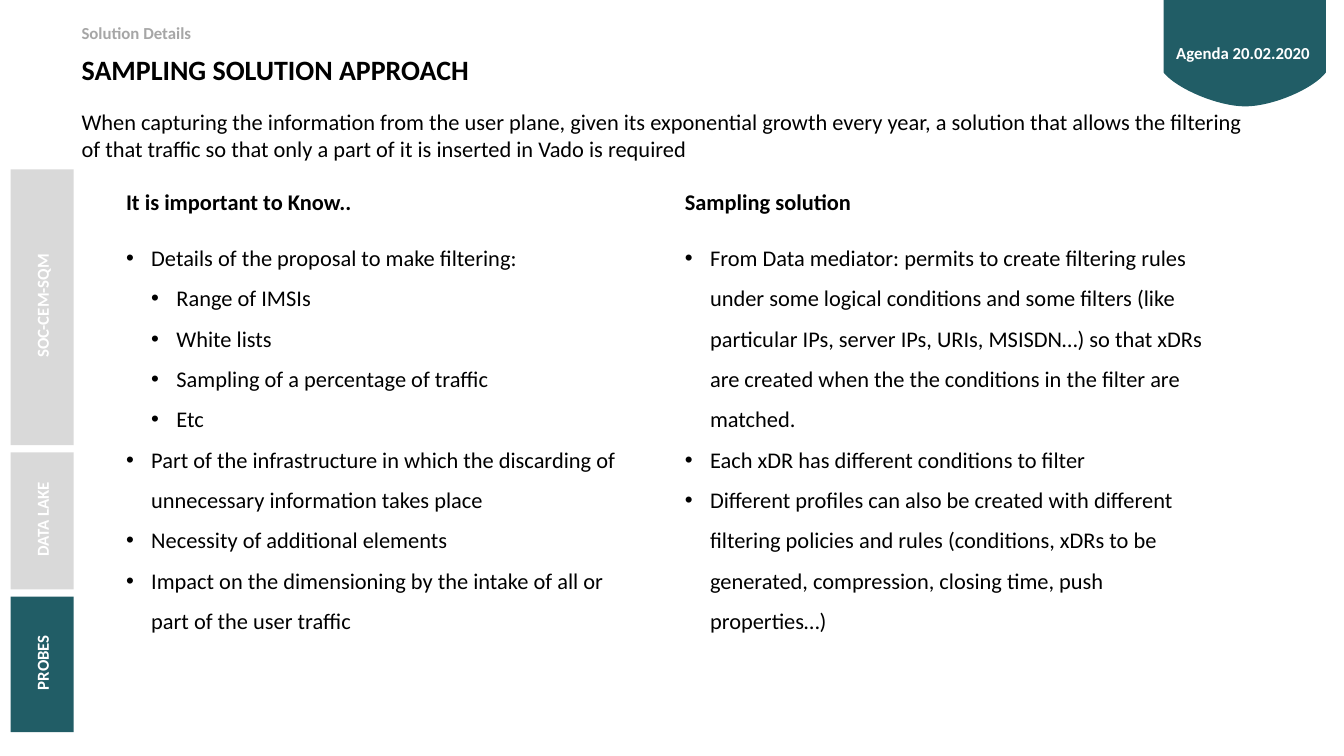
from dataclasses import dataclass
from typing import Any

import lxml.etree
import pptx
import pptx.dml.color
import pptx.enum.shapes
import pptx.enum.text
import pptx.oxml.ns
import pptx.util

WIDTH, HEIGHT = 26.67, 15
FONT = "Calibri"
TEAL, GREY, MID_GREY, WHITE, BLACK = "215D66", "D9D9D9", "A6A6A6", "FFFFFF", "000000"
LEFT = pptx.enum.text.PP_ALIGN.LEFT
CENTER = pptx.enum.text.PP_ALIGN.CENTER
TOP = pptx.enum.text.MSO_ANCHOR.TOP
MIDDLE = pptx.enum.text.MSO_ANCHOR.MIDDLE


@dataclass
class Box:
    """Place and size in percent of the slide's width and height."""
    x: float
    y: float
    w: float
    h: float


@dataclass
class Style:
    size: int = 32
    color: str = BLACK
    bold: bool = False
    align: Any = LEFT
    anchor: Any = TOP
    insets: tuple[float, float, float, float] = (0.1, 0.05, 0.1, 0.05)


@dataclass
class Tab:
    label: str
    height: float
    fill: str


@dataclass
class Column:
    heading: str
    items: list[tuple[int, str]]
    x: float
    width: float
    height: float
    heading_idx: int
    body_idx: int


TABS = [
    Tab("SOC-CEM-SQM", 36.47, GREY),
    Tab("DATA LAKE", 18.13, GREY),
    Tab("PROBES", 17.93, TEAL),
]
TAB_X, TAB_TOP, TAB_WIDTH, TAB_GAP = 0.79, 22.4, 4.69, 0.95

COLUMNS = [
    Column("It is important to Know..", [
        (0, "Details of the proposal to make filtering:"),
        (1, "Range of IMSIs"),
        (1, "White lists"),
        (1, "Sampling of a percentage of traffic"),
        (1, "Etc"),
        (0, "Part of the infrastructure in which the discarding of "
            "unnecessary information takes place"),
        (0, "Necessity of additional elements"),
        (0, "Impact on the dimensioning by the intake of all or part of the user traffic"),
    ], 9, 38.1, 54.53, 1, 2),
    Column("Sampling solution", [
        (0, "From Data mediator: permits to create filtering rules under some logical "
            "conditions and some filters (like particular IPs, server IPs, URIs, MSISDN…) "
            "so that xDRs are created when the the conditions in the filter are matched."),
        (0, "Each xDR has different conditions to filter"),
        (0, "Different profiles can also be created with different filtering policies and "
            "rules (conditions, xDRs to be generated, compression, closing time, push "
            "properties…)"),
    ], 50.58, 39.86, 69.8, 3, 4),
]


def rgb(value: str) -> pptx.dml.color.RGBColor:
    return pptx.dml.color.RGBColor.from_string(value)


def across(share: float) -> int:
    return pptx.util.Inches(WIDTH * share / 100)


def down(share: float) -> int:
    return pptx.util.Inches(HEIGHT * share / 100)


def place(sp: Any, box: Box) -> None:
    sp.left, sp.top = across(box.x), down(box.y)
    sp.width, sp.height = across(box.w), down(box.h)


def paint(sp: Any, color: str) -> None:
    sp.shadow.inherit = False
    sp.fill.solid()
    sp.fill.fore_color.rgb = rgb(color)
    sp.line.fill.background()


def write(sp: Any, text: str, style: Style) -> None:
    tf = sp.text_frame
    tf.text = text
    tf.word_wrap = True
    tf.auto_size = pptx.enum.text.MSO_AUTO_SIZE.NONE
    tf.vertical_anchor = style.anchor
    tf.margin_left, tf.margin_top, tf.margin_right, tf.margin_bottom = map(
        pptx.util.Inches, style.insets)
    for p in tf.paragraphs:
        p.alignment = style.align
        p.space_before = pptx.util.Pt(0)
        for r in p.runs:
            r.font.name = FONT
            r.font.size = pptx.util.Pt(style.size)
            r.font.bold = style.bold
            r.font.color.rgb = rgb(style.color)


def add_text(s: Any, box: Box, text: str, style: Style) -> None:
    sp = s.shapes.add_textbox(0, 0, 0, 0)
    place(sp, box)
    write(sp, text, style)


def add_bullet(p: Any, level: int) -> None:
    pPr = p._p.get_or_add_pPr()
    pPr.set("marL", str(pptx.util.Inches(0.5 * (level + 1))))
    pPr.set("indent", str(pptx.util.Inches(-0.5)))
    qn = pptx.oxml.ns.qn
    lxml.etree.SubElement(pPr, qn("a:buFont"), typeface="Arial")
    lxml.etree.SubElement(pPr, qn("a:buChar"), char="•")
    p.level = level
    p.line_spacing = 1.5


def add_column(s: Any, column: Column) -> None:
    heading = s.placeholders[column.heading_idx]
    place(heading, Box(column.x, 24.53, 20.59, 4.27))
    write(heading, column.heading, Style(bold=True))
    body = s.placeholders[column.body_idx]
    place(body, Box(column.x, 30.2, column.width, column.height))
    write(body, "\n".join(text for _, text in column.items), Style())
    for p, (level, _) in zip(body.text_frame.paragraphs, column.items):
        add_bullet(p, level)


def add_tab(s: Any, tab: Tab, y: float) -> None:
    w, h = across(TAB_WIDTH), down(tab.height)
    left, top = across(TAB_X) + (w - h) // 2, down(y) + (h - w) // 2
    sp = s.shapes.add_shape(pptx.enum.shapes.MSO_SHAPE.RECTANGLE, left, top, h, w)
    sp.rotation = 270
    paint(sp, tab.fill)
    write(sp, tab.label, Style(24, WHITE, True, CENTER, MIDDLE, (0.16, 0.05, 0.1, 0.05)))


def curve(points: list[tuple[float, float]], steps: int = 16) -> list[tuple[int, int]]:
    result = []
    for i in range(1, steps + 1):
        t = i / steps
        weights = ((1 - t) ** 3, 3 * t * (1 - t) ** 2, 3 * t * t * (1 - t), t ** 3)
        x, y = (sum(k * v for k, v in zip(weights, axis)) for axis in zip(*points))
        result.append((across(x), down(y)))
    return result


def add_banner(s: Any) -> None:
    left, right, shoulder, tip = 86.58, 98.65, 9.6, (92.65, 14.07)
    fb = s.shapes.build_freeform(across(left), 0)
    fb.add_line_segments([
        (across(right), 0),
        (across(right), down(shoulder)),
        *curve([(right, shoulder), (97.68, 11.8), (94.68, 14.07), tip]),
        *curve([tip, (90.66, 14.07), (87.59, 11.8), (left, shoulder)]),
    ], close=True)
    paint(fb.convert_to_shape(), TEAL)


def main() -> None:
    prs = pptx.Presentation()
    prs.slide_width, prs.slide_height = across(100), down(100)
    s = prs.slides.add_slide(prs.slide_layouts.get_by_name("Comparison"))

    add_banner(s)
    even = (0.1, 0.1, 0.1, 0.1)
    place(s.shapes.title, Box(5.7, 6.33, 77.2, 10.4))
    write(s.shapes.title, "SAMPLING SOLUTION APPROACH", Style(40, bold=True, insets=even))
    add_text(s, Box(5.7, 14, 88.49, 7.87),
             "When capturing the information from the user plane, given its exponential growth "
             "every year, a solution that allows the filtering of that traffic so that only a "
             "part of it is inserted in Vado is required", Style())
    add_text(s, Box(5.7, 2.4, 40.61, 3.67), "Solution Details",
             Style(24, MID_GREY, True, insets=even))

    y = TAB_TOP
    for tab in TABS:
        add_tab(s, tab, y)
        y += tab.height + TAB_GAP
    for column in COLUMNS:
        add_column(s, column)
    add_text(s, Box(85, 2.07, 14.96, 9.8), "Agenda 20.02.2020",
             Style(24, WHITE, True, CENTER, MIDDLE))
    prs.save("out.pptx")


if __name__ == "__main__":
    main()
